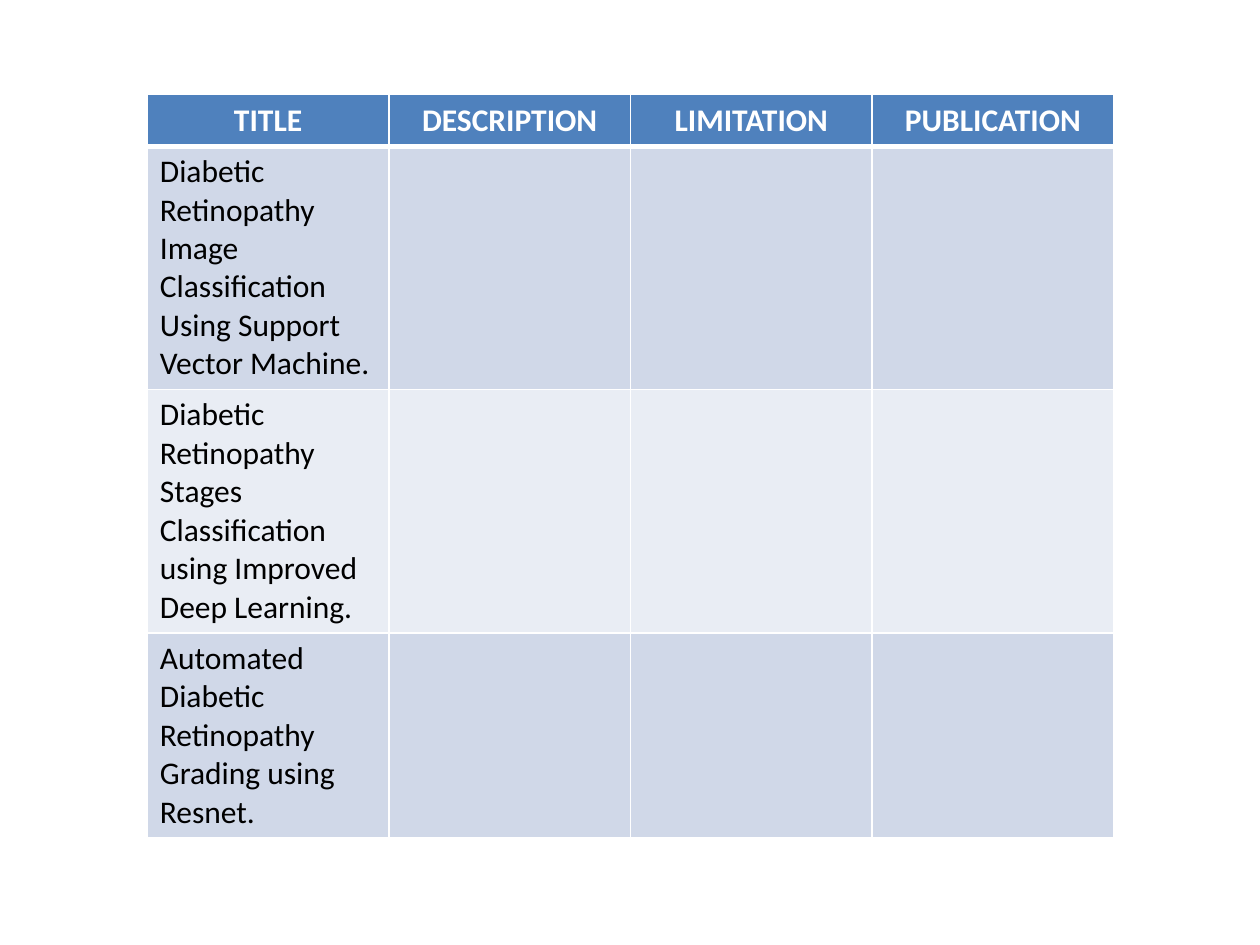
from lxml import etree
from pptx import Presentation
from pptx.dml.color import RGBColor
from pptx.enum.text import PP_ALIGN
from pptx.oxml.ns import qn
from pptx.util import Cm, Pt

CENTER = PP_ALIGN.CENTER
LEFT = PP_ALIGN.LEFT

WHITE = RGBColor(0xFF, 0xFF, 0xFF)
BLACK = RGBColor(0x00, 0x00, 0x00)
HEADER_BLUE = RGBColor(0x4F, 0x81, 0xBD)
BAND_DARK = RGBColor(0xD0, 0xD8, 0xE8)
BAND_LIGHT = RGBColor(0xE9, 0xED, 0xF4)

HEADINGS = ["TITLE", "DESCRIPTION", "LIMITATION", "PUBLICATION"]
PAPERS = [
    "Diabetic Retinopathy Image Classification Using Support Vector Machine.",
    "Diabetic Retinopathy Stages Classification using Improved Deep Learning.",
    "Automated Diabetic Retinopathy Grading using Resnet.",
]
ROW_HEIGHTS = [1.04, 4.83, 4.83, 4.04]
COLUMN_WIDTH = 4.87


class SurveySlide:
    """Holds the text style and the slide being built."""

    font_name = "Calibri"
    font_size = Pt(18)

    def __init__(self, slide):
        self.slide = slide

    def add_table(self, left, top, column_width, row_heights, column_count):
        frame = self.slide.shapes.add_table(
            len(row_heights), column_count, Cm(left), Cm(top),
            Cm(column_width * column_count), Cm(sum(row_heights)))
        table = frame.table
        for column in table.columns:
            column.width = Cm(column_width)
        for row, height in zip(table.rows, row_heights):
            row.height = Cm(height)
        return table

    def style_cell(self, cell, fill, bottom=1, top=1):
        # Borders come before the fill in the cell properties
        properties = cell._tc.get_or_add_tcPr()
        for side, points in (("L", 1), ("R", 1), ("T", top), ("B", bottom)):
            line = etree.SubElement(properties, qn(f"a:ln{side}"), w=str(Pt(points)))
            solid = etree.SubElement(line, qn("a:solidFill"))
            etree.SubElement(solid, qn("a:srgbClr"), val=str(WHITE))
        cell.fill.solid()
        cell.fill.fore_color.rgb = fill

    def write_cell(self, cell, text, color, bold=False, alignment=LEFT):
        paragraph = cell.text_frame.paragraphs[0]
        paragraph.alignment = alignment
        run = paragraph.add_run()
        run.text = text
        run.font.name = self.font_name
        run.font.size = self.font_size
        run.font.bold = bold
        run.font.color.rgb = color


def main():
    presentation = Presentation()
    presentation.slide_width = Cm(25.4)
    presentation.slide_height = Cm(19.05)
    survey = SurveySlide(presentation.slides.add_slide(presentation.slide_layouts[6]))

    table = survey.add_table(2.97, 1.91, COLUMN_WIDTH, ROW_HEIGHTS, len(HEADINGS))

    # Header row
    for column, heading in enumerate(HEADINGS):
        cell = table.cell(0, column)
        survey.style_cell(cell, HEADER_BLUE, bottom=3)
        survey.write_cell(cell, heading, WHITE, bold=True, alignment=CENTER)

    # One banded row per paper, with only the title filled in
    for row, paper in enumerate(PAPERS, start=1):
        fill = BAND_DARK if row % 2 else BAND_LIGHT
        for column in range(len(HEADINGS)):
            survey.style_cell(table.cell(row, column), fill, top=3 if row == 1 else 1)
        survey.write_cell(table.cell(row, 0), paper, BLACK)

    presentation.save("out.pptx")


if __name__ == "__main__":
    main()
